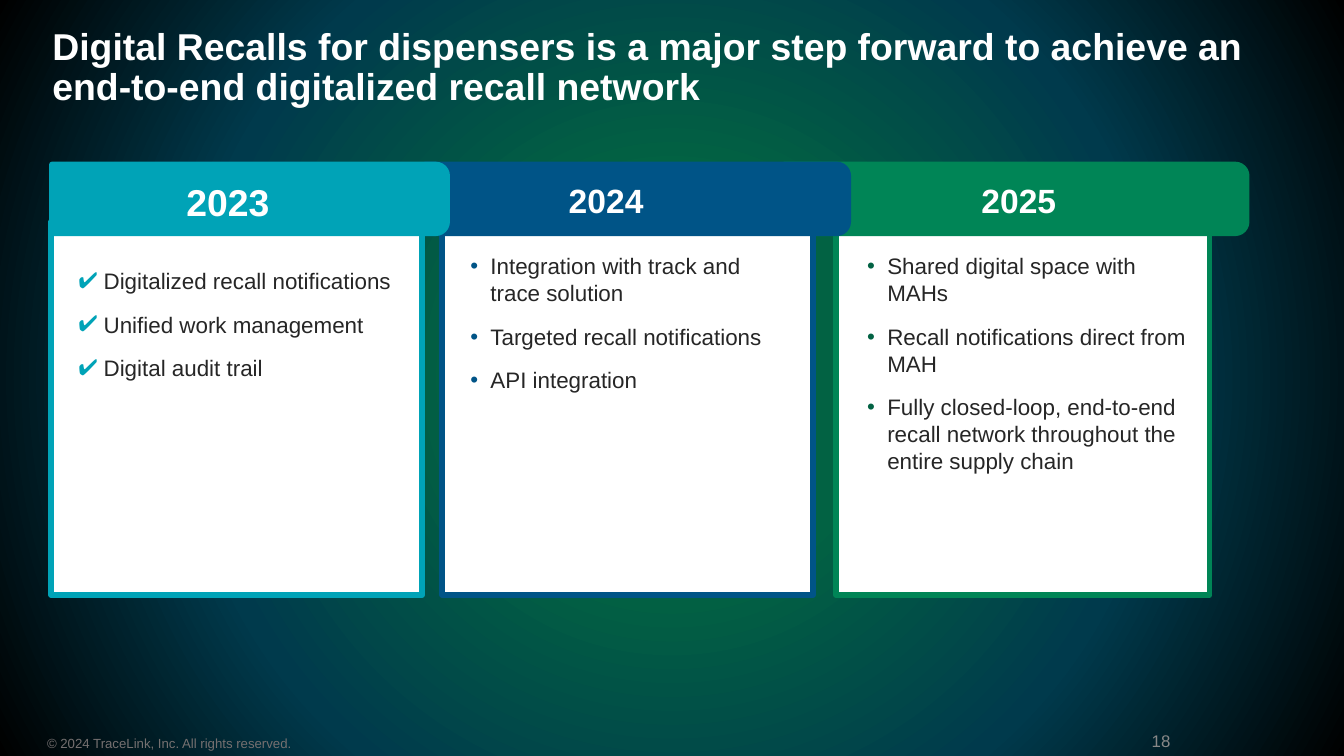
from lxml import etree
from pptx import Presentation
from pptx.dml.color import RGBColor
from pptx.enum.shapes import MSO_SHAPE
from pptx.enum.text import MSO_ANCHOR, MSO_AUTO_SIZE, PP_ALIGN
from pptx.oxml import parse_xml
from pptx.oxml.ns import nsdecls, qn
from pptx.util import Cm, Pt

RECT, TAB = MSO_SHAPE.RECTANGLE, MSO_SHAPE.ROUND_2_SAME_RECTANGLE
TOP, MIDDLE = MSO_ANCHOR.TOP, MSO_ANCHOR.MIDDLE
LEFT, CENTER, RIGHT = PP_ALIGN.LEFT, PP_ALIGN.CENTER, PP_ALIGN.RIGHT
NO_AUTOFIT = MSO_AUTO_SIZE.NONE

TITLE = ("Digital Recalls for dispensers is a major step forward to achieve an "
         "end-to-end digitalized recall network")
COPYRIGHT = "© 2024 TraceLink, Inc. All rights reserved."
PAGE_NUMBER = "18"
GLOW = [(0, "026243"), (27, "026243"), (63, "003A4C"), (100, "000000")]

STAGES = [
    {"year": "2025", "year_size": 18, "color": "008556", "bullet": "•",
     "bullet_color": "026243", "indent": 0.38,
     "card": (15.8, 4.09, 7.06), "tab": (14.82, 8.74),
     "year_span": (16.03, 6.45), "list": (16.31, 4.67),
     "points": ["Shared digital space with MAHs",
                "Recall notifications direct from MAH",
                "Fully closed-loop, end-to-end recall network throughout "
                "the entire supply chain"]},
    {"year": "2024", "year_size": 18, "color": "005487", "bullet": "•",
     "bullet_color": "005487", "indent": 0.38,
     "card": (8.36, 4.19, 7.01), "tab": (8.03, 8),
     "year_span": (9.04, 4.83), "list": (8.81, 4.67),
     "points": ["Integration with track and trace solution",
                "Targeted recall notifications",
                "API integration"]},
    {"year": "2023", "year_size": 20, "color": "00A3B7", "bullet": "✔",
     "bullet_color": "00A3B7", "indent": 0.48,
     "card": (0.97, 4.19, 7.01), "tab": (0.98, 7.47),
     "year_span": (2.72, 3.18), "list": (1.4, 4.95),
     "points": ["Digitalized recall notifications",
                "Unified work management",
                "Digital audit trail"]},
]

WIDTH, HEIGHT = 25.4, 14.29
CARD_BOTTOM = 11.25
TAB_TOP, TAB_HEIGHT = 3.11, 1.3
YEAR_TOP, YEAR_HEIGHT = 3.38, 0.79
LIST_WIDTH, LIST_HEIGHT = 6.25, 6.2


def rgb(value):
    return RGBColor.from_string(value)


def apply(target, formats):
    for name, value in formats.items():
        setattr(target, name, value)


def add_block(kind, box, color, outline=None):
    block = slide.shapes.add_shape(kind, *map(Cm, box))
    block.shadow.inherit = False
    block.fill.solid()
    block.fill.fore_color.rgb = rgb(color)
    if outline:
        block.line.color.rgb = rgb(outline)
        block.line.width = Pt(3)
    else:
        block.line.fill.background()
    return block


def set_frame(frame, insets=(0.18, 0.1), anchor=TOP):
    side, edge = map(Cm, insets)
    apply(frame, {"word_wrap": True, "auto_size": NO_AUTOFIT,
                  "vertical_anchor": anchor, "margin_left": side,
                  "margin_right": side, "margin_top": edge,
                  "margin_bottom": edge})


def write(paragraph, text, size, color, bold=False, align=LEFT, spacing=1.0):
    apply(paragraph, {"alignment": align, "line_spacing": spacing})
    run = paragraph.add_run()
    run.text = text
    apply(run.font, {"name": "Arial", "size": Pt(size), "bold": bold})
    run.font.color.rgb = rgb(color)


def add_frame(box, **formats):
    frame = slide.shapes.add_textbox(*map(Cm, box)).text_frame
    set_frame(frame, **formats)
    return frame


def add_bullet(paragraph, mark, color, indent):
    properties = paragraph._p.get_or_add_pPr()
    properties.set("marL", str(Cm(indent)))
    properties.set("indent", str(-Cm(indent)))
    tint = etree.SubElement(properties, qn("a:buClr"))
    etree.SubElement(tint, qn("a:srgbClr"), val=color)
    etree.SubElement(properties, qn("a:buFont"), typeface="Arial")
    etree.SubElement(properties, qn("a:buChar"), char=mark)


def add_glow():
    backdrop = add_block(RECT, (0, 0, WIDTH, HEIGHT), "000000")
    stops = "".join(f'<a:gs pos="{at * 1000}"><a:srgbClr val="{color}"/></a:gs>'
                    for at, color in GLOW)
    gradient = parse_xml(
        f'<a:gradFill {nsdecls("a")} rotWithShape="1"><a:gsLst>{stops}</a:gsLst>'
        '<a:path path="circle"><a:fillToRect l="50000" t="50000" r="50000" '
        'b="50000"/></a:path></a:gradFill>')
    properties = backdrop._element.spPr
    properties.replace(properties.find(qn("a:solidFill")), gradient)
    slide.shapes._spTree.insert(2, backdrop._element)


def add_stage(stage):
    color = stage["color"]
    left, top, width = stage["card"]
    add_block(RECT, (left, top, width, CARD_BOTTOM - top), "FFFFFF", color)

    left, length = stage["tab"]
    shift = (length - TAB_HEIGHT) / 2
    tab = add_block(TAB, (left + shift, TAB_TOP - shift, TAB_HEIGHT, length),
                    color, color)
    tab.rotation = 90

    left, width = stage["year_span"]
    year = add_frame((left, YEAR_TOP, width, YEAR_HEIGHT))
    write(year.paragraphs[0], stage["year"], stage["year_size"], "FFFFFF",
          bold=True, align=CENTER, spacing=0.9)

    points = add_frame((*stage["list"], LIST_WIDTH, LIST_HEIGHT),
                       insets=(0.08, 0.1))
    for index, point in enumerate(stage["points"]):
        paragraph = points.add_paragraph() if index else points.paragraphs[0]
        add_bullet(paragraph, stage["bullet"], stage["bullet_color"],
                   stage["indent"])
        paragraph.space_before = Pt(9 if index else 0)
        write(paragraph, point, 12, "262626")


prs = Presentation()
apply(prs, {"slide_width": Cm(WIDTH), "slide_height": Cm(HEIGHT)})
slide = prs.slides.add_slide(prs.slide_layouts[5])
add_glow()

title = slide.shapes.title
apply(title, {"left": Cm(0.81), "top": Cm(0.43),
              "width": Cm(23.75), "height": Cm(1.73)})
set_frame(title.text_frame, anchor=MIDDLE)
write(title.text_frame.paragraphs[0], TITLE, 20, "FFFFFF", bold=True,
      spacing=0.9)

footer = add_frame((0.64, 13.77, 5.49, 0.56), insets=(0.25, 0.13))
write(footer.paragraphs[0], COPYRIGHT, 7.1, "757070")
number = add_frame((18.39, 13.64, 3.91, 0.74), anchor=MIDDLE)
write(number.paragraphs[0], PAGE_NUMBER, 9, "888888", align=RIGHT)

for stage in STAGES:
    add_stage(stage)

prs.save("out.pptx")
